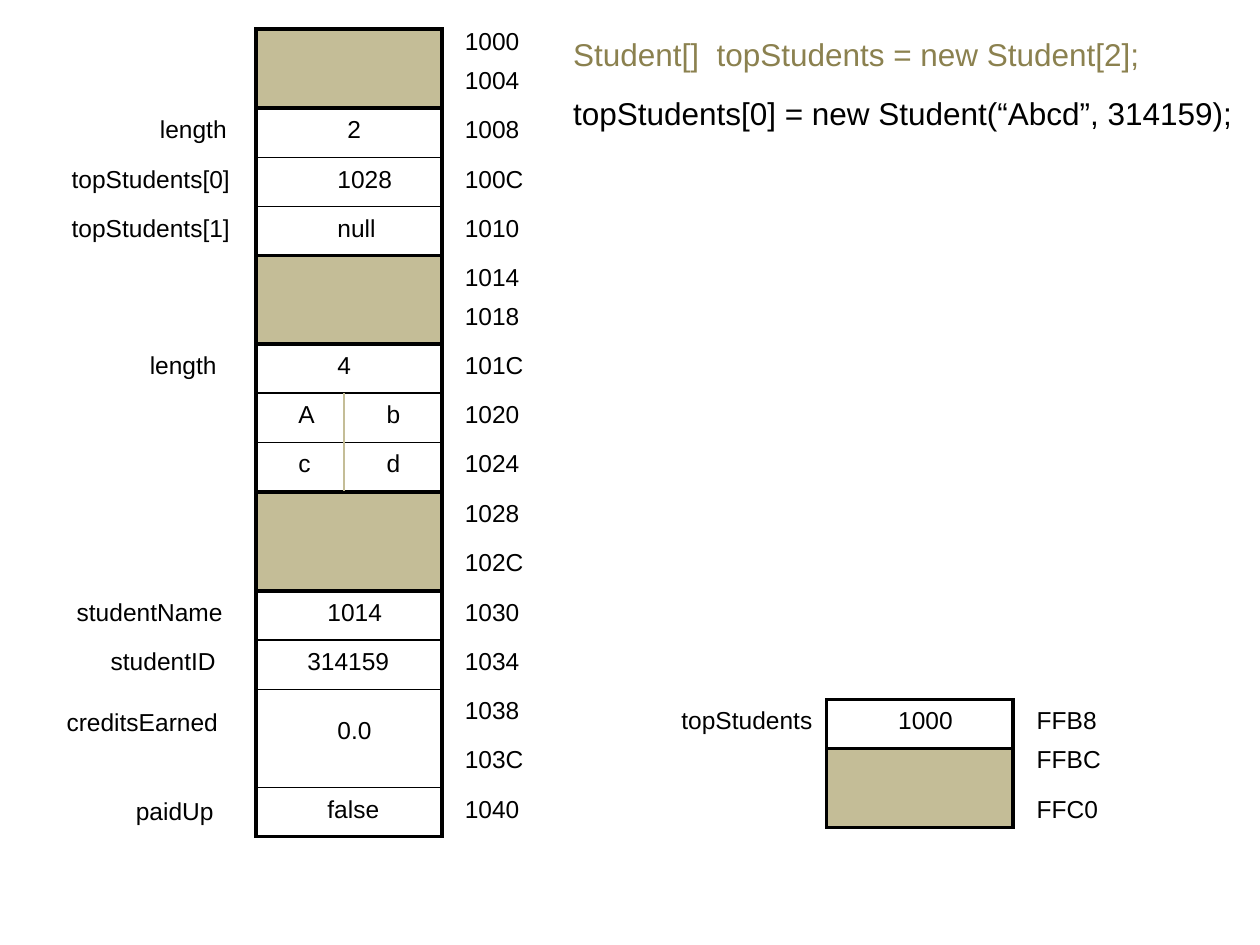
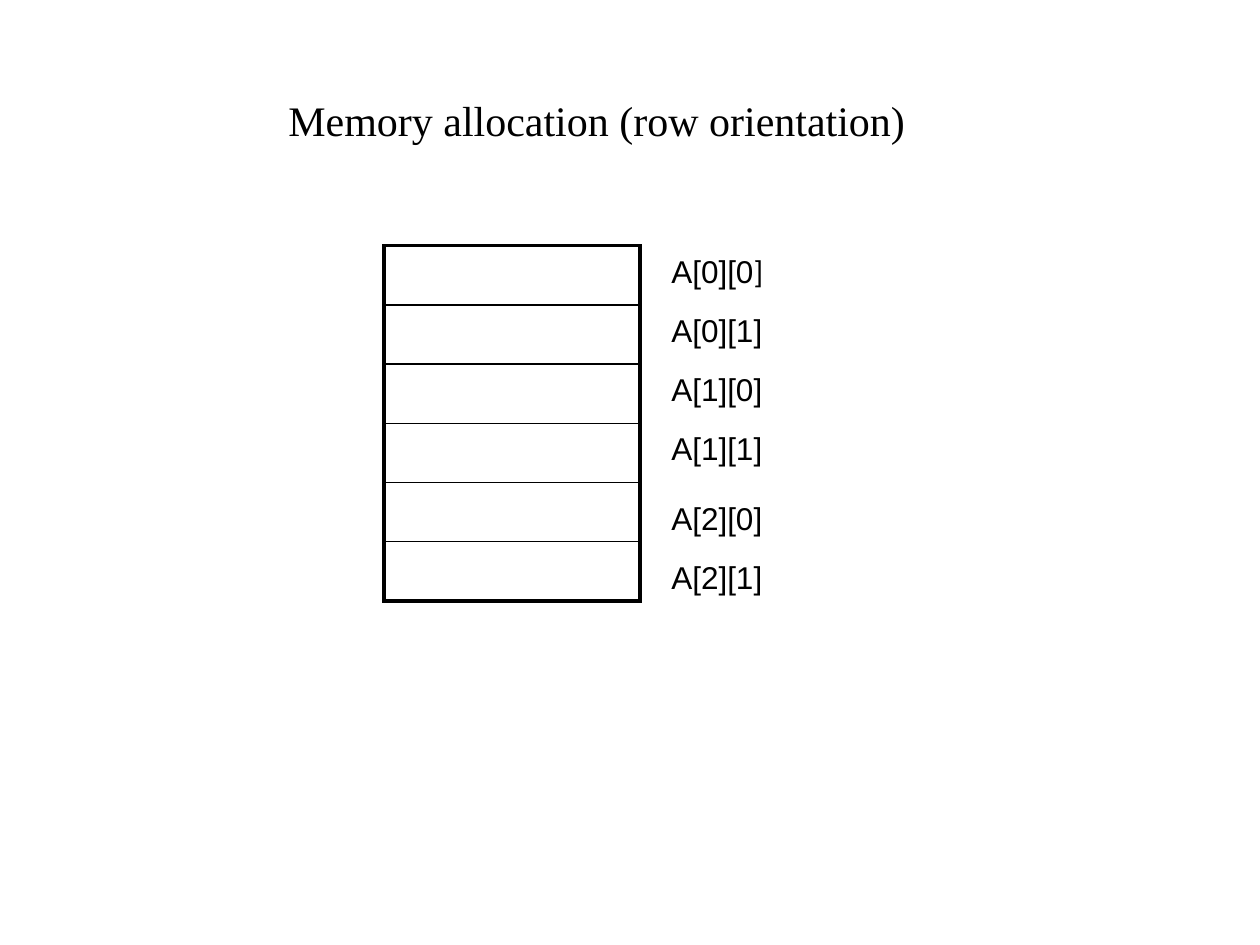
from pptx import Presentation
from pptx.dml.color import RGBColor
from pptx.enum.shapes import MSO_CONNECTOR, MSO_SHAPE
from pptx.oxml.ns import qn
from pptx.util import Inches, Pt
from lxml import etree

RECTANGLE = MSO_SHAPE.RECTANGLE
STRAIGHT = MSO_CONNECTOR.STRAIGHT

COLORS = {"ink": "000000", "paper": "FFFFFF", "header": "C4BD97", "faded": "8B814F"}
BODY_FONT = "Arial"
TITLE_FONT = "Times New Roman"
LABEL_SIZE, CODE_SIZE, TITLE_SIZE = 14, 18, 24
BORDER, DIVIDER = 2, 0.75
SLACK = 0.06         # spare box width that keeps each text on one line

WORD = 0.39          # height of one memory word
MEMORY_LEFT, MEMORY_WIDTH = 2.03, 1.48
ARRAY_TOP, STRING_TOP, STUDENT_TOP = 0.86, 2.73, 4.69
STACK_LEFT, STACK_TOP = 6.56, 5.55
GRID_LEFT, GRID_TOP, GRID_WIDTH, GRID_ROW = 3.05, 1.95, 2.03, 0.47


def color(name):
    return RGBColor.from_string(COLORS[name])


class SlideBuilder:
    """Holds the deck, the current slide and the shared style."""

    def __init__(self):
        self.deck = Presentation()
        self.deck.slide_width, self.deck.slide_height = Inches(10), Inches(7.5)
        self.slide = None

    def new_slide(self):
        self.slide = self.deck.slides.add_slide(self.deck.slide_layouts[6])

    def text(self, content, left, top, width, size=LABEL_SIZE, font=BODY_FONT, ink="ink"):
        """Write one line; content is a string or a list of (string, font) spans."""
        height = {LABEL_SIZE: 0.34, CODE_SIZE: 0.4, TITLE_SIZE: 0.5}[size]
        box = self.slide.shapes.add_textbox(
            Inches(left), Inches(top), Inches(width + SLACK), Inches(height))
        frame = box.text_frame
        frame.word_wrap = True
        spans = [(content, font)] if isinstance(content, str) else content
        for words, span_font in spans:
            span = frame.paragraphs[0].add_run()
            span.text = words
            for name, value in {"name": span_font, "size": Pt(size)}.items():
                setattr(span.font, name, value)
            span.font.color.rgb = color(ink)

    def block(self, left, top, width, height, fill="paper"):
        shape = self.slide.shapes.add_shape(
            RECTANGLE, Inches(left), Inches(top), Inches(width), Inches(height))
        shape.shadow.inherit = False
        shape.fill.solid()
        shape.fill.fore_color.rgb = color(fill)
        shape.line.color.rgb = color("ink")
        shape.line.width = Pt(BORDER)
        outline = shape._element.spPr.find(qn("a:ln"))
        etree.SubElement(outline, qn("a:miter"), lim="800000")

    def line(self, start, end, ink="ink"):
        points = [Inches(value) for value in (*start, *end)]
        connector = self.slide.shapes.add_connector(STRAIGHT, *points)
        connector.line.color.rgb = color(ink)
        connector.line.width = Pt(DIVIDER)
        etree.SubElement(connector._element.spPr, qn("a:effectLst"))

    def cells(self, left, top, width, row, count, dividers):
        """Draw a block of equal rows, divided below the given row numbers."""
        self.block(left, top, width, row * count)
        for number in dividers:
            y = top + row * number
            self.line((left, y), (left + width, y))

    def addresses(self, left, top, names, step=WORD, width=0.66):
        for index, name in enumerate(names):
            self.text(name, left, top + index * step, width)


def build_heap(builder):
    for top, height in ((0.23, 0.63), (2.03, 0.7), (3.91, 0.78)):
        builder.block(MEMORY_LEFT, top, MEMORY_WIDTH, height, "header")
    for top, count, dividers in ((ARRAY_TOP, 3, (1, 2)), (STRING_TOP, 3, (1, 2)),
                                 (STUDENT_TOP, 5, (1, 2, 4))):
        builder.cells(MEMORY_LEFT, top, MEMORY_WIDTH, WORD, count, dividers)
    builder.line((2.73, STRING_TOP + WORD), (2.73, STRING_TOP + 3 * WORD), "header")

    for top, step, names in (
            (0.16, 0.31, ["1000", "1004"]),
            (ARRAY_TOP, WORD, ["1008", "100C", "1010"]),
            (2.03, 0.31, ["1014", "1018"]),
            (STRING_TOP, WORD, ["101C", "1020", "1024", "1028", "102C"]),
            (STUDENT_TOP, WORD, ["1030", "1034", "1038", "103C", "1040"])):
        builder.addresses(3.59, top, names, step)

    # value or label, left, block top, row within the block, width
    entries = [
        ("2", 2.66, ARRAY_TOP, 0, 0.31),
        ("1028", 2.58, ARRAY_TOP, 1, 0.63),
        ("null", 2.58, ARRAY_TOP, 2, 0.5),
        ("4", 2.58, STRING_TOP, 0, 0.31),
        ("A", 2.27, STRING_TOP, 1, 0.33),
        ("b", 2.97, STRING_TOP, 1, 0.31),
        ("c", 2.27, STRING_TOP, 2, 0.3),
        ("d", 2.97, STRING_TOP, 2, 0.31),
        ("1014", 2.5, STUDENT_TOP, 0, 0.63),
        ("314159", 2.34, STUDENT_TOP, 1, 0.85),
        ("0.0", 2.58, STUDENT_TOP, 2.4, 0.47),
        ("false", 2.5, STUDENT_TOP, 4, 0.61),
        ("length", 1.17, ARRAY_TOP, 0, 0.73),
        ("topStudents[0]", 0.47, ARRAY_TOP, 1, 1.46),
        ("topStudents[1]", 0.47, ARRAY_TOP, 2, 1.46),
        ("length", 1.09, STRING_TOP, 0, 0.73),
        ("studentName", 0.51, STUDENT_TOP, 0, 1.36),
        ("studentID", 0.78, STUDENT_TOP, 1, 1.03),
        ("creditsEarned", 0.43, STUDENT_TOP, 2.23, 1.44),
        ("paidUp", 0.98, STUDENT_TOP, 4.05, 0.82),
    ]
    for words, left, top, row, width in entries:
        builder.text(words, left, top + row * WORD, width)


def build_stack(builder):
    builder.block(STACK_LEFT, STACK_TOP + WORD, MEMORY_WIDTH, 0.63, "header")
    builder.block(STACK_LEFT, STACK_TOP, MEMORY_WIDTH, WORD)
    builder.text("1000", 7.03, STACK_TOP, 0.63)
    builder.text("topStudents", 5.31, STACK_TOP, 1.24)
    builder.addresses(8.13, STACK_TOP, ["FFB8"], width=0.7)
    builder.addresses(8.13, 5.86, ["FFBC", "FFC0"], width=0.7)


def build_object_slide(builder):
    builder.new_slide()
    builder.text("Student[]  topStudents = new Student[2];",
                 4.45, 0.23, 4.69, CODE_SIZE, ink="faded")
    builder.text("topStudents[0] = new Student(“Abcd”, 314159);",
                 4.45, 0.7, 5.43, CODE_SIZE)
    build_heap(builder)
    build_stack(builder)


def build_row_slide(builder):
    builder.new_slide()
    builder.text("Memory allocation (row orientation)",
                 2.19, 0.7, 5.09, TITLE_SIZE, TITLE_FONT)
    builder.cells(GRID_LEFT, GRID_TOP, GRID_WIDTH, GRID_ROW, 6, range(1, 6))
    for index in range(6):
        row, column = divmod(index, 2)
        label = f"A[{row}][{column}]"
        if index == 0:
            label = [(label[:-1], BODY_FONT), (label[-1], "Calibri")]
        last_row_drop = 0.08 if row == 2 else 0
        builder.text(label, 5.23, GRID_TOP + index * GRID_ROW + last_row_drop,
                     1, CODE_SIZE)


def main():
    builder = SlideBuilder()
    build_object_slide(builder)
    build_row_slide(builder)
    builder.deck.save("out.pptx")


if __name__ == "__main__":
    main()
